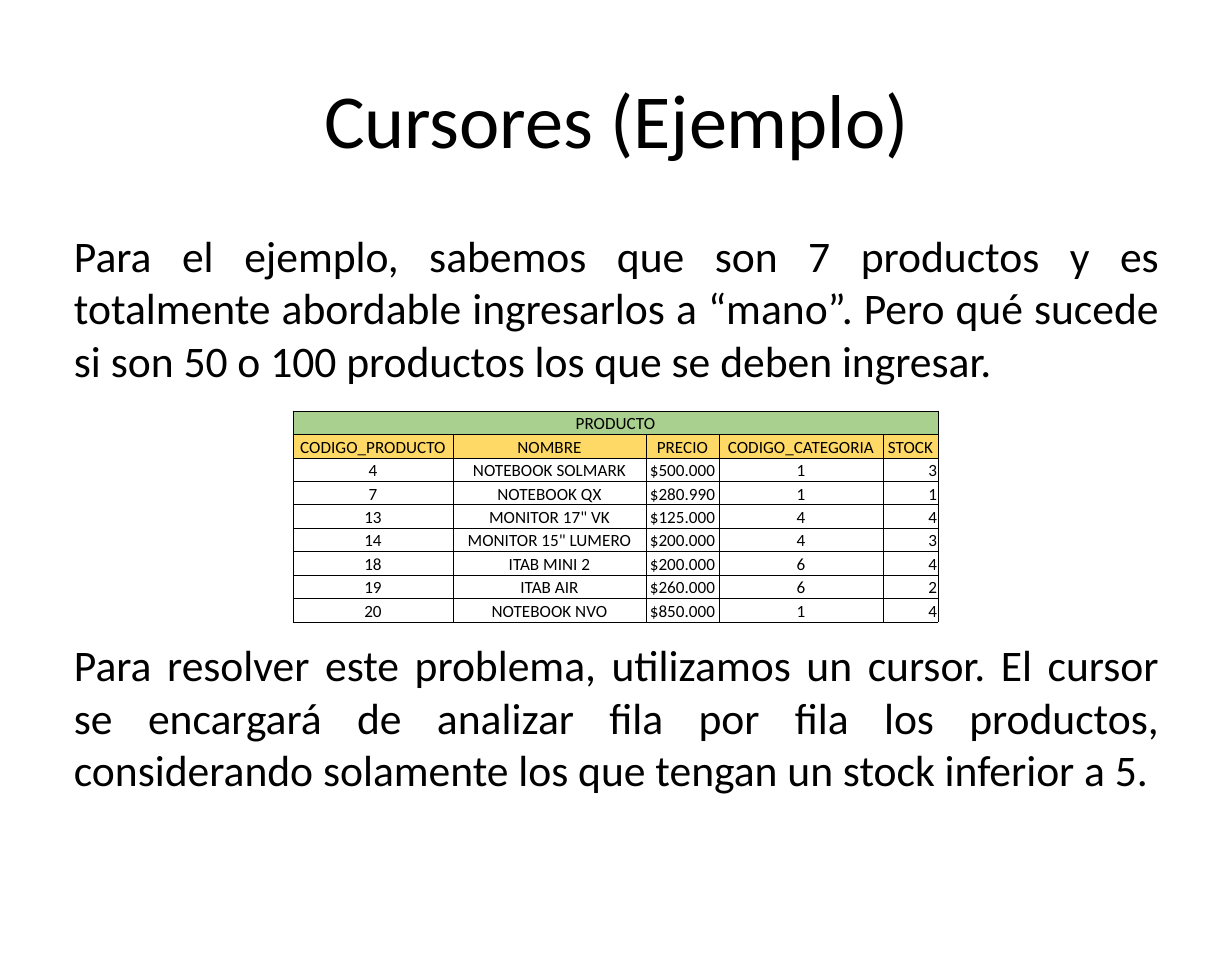
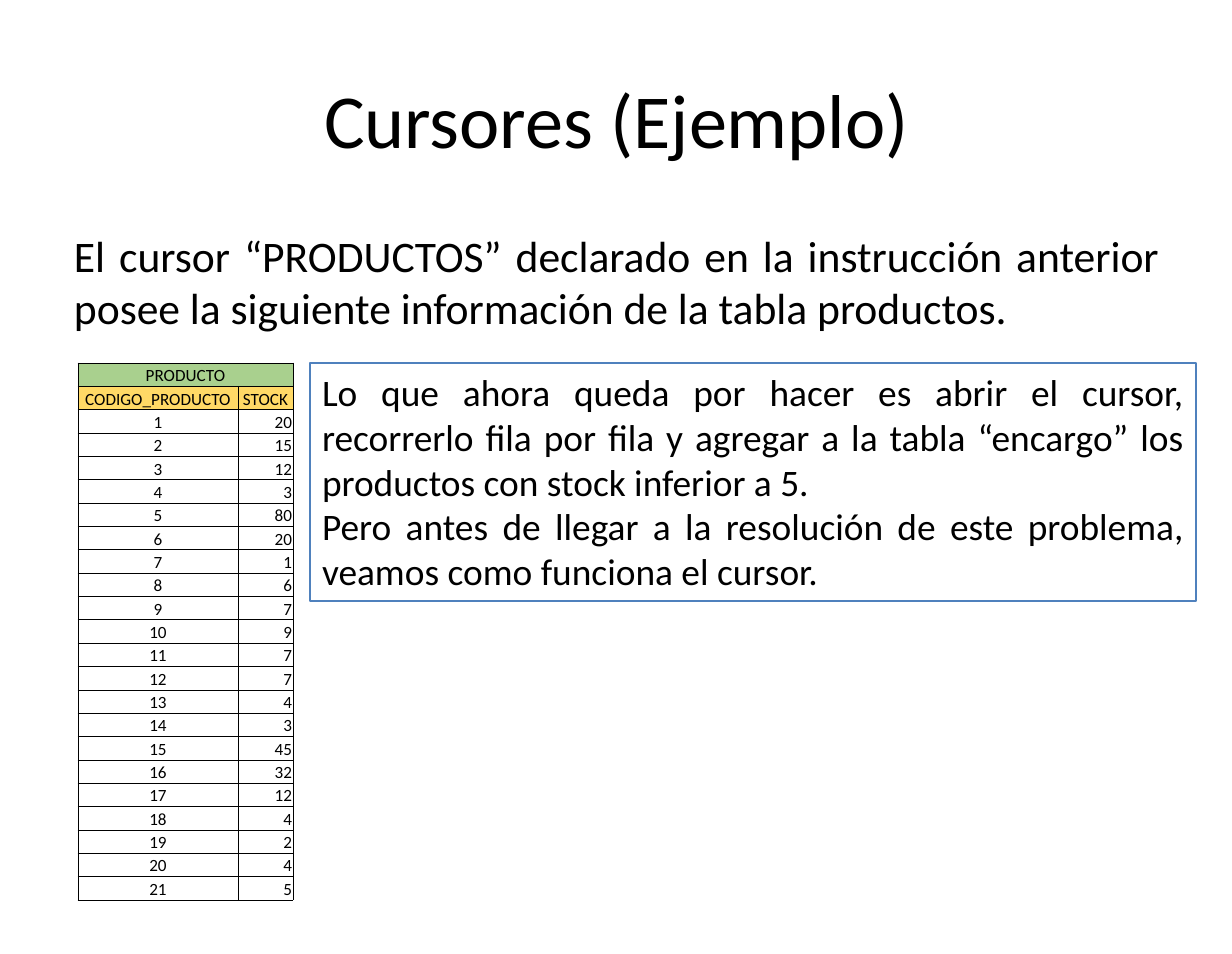
from lxml.etree import SubElement
from pptx import Presentation
from pptx.dml.color import RGBColor
from pptx.enum.shapes import MSO_SHAPE
from pptx.enum.text import MSO_ANCHOR, PP_ALIGN
from pptx.oxml.ns import qn
from pptx.util import Pt

PX = 8157
BLACK = RGBColor(0x00, 0x00, 0x00)
WHITE = RGBColor(0xFF, 0xFF, 0xFF)
GREEN = RGBColor(0xA9, 0xD0, 0x8E)
YELLOW = RGBColor(0xFF, 0xD9, 0x66)
BLUE = RGBColor(0x4F, 0x81, 0xBD)
FONT = "Calibri"

SLIDE_SIZE = (1232, 954)
TITLE = "Cursores (Ejemplo)"
TITLE_BOX = (62, 38, 1109, 159)
BODY_BOX = (62, 223, 1109, 630)
INSETS = (12, 6, 12, 6)
CELL_INSETS = (1, 1, 1, 0)
CODE_WIDTH, STOCK_WIDTH = 160, 55

STOCK = [20, 15, 12, 3, 80, 20, 1, 6, 7, 9, 7, 7, 4, 3, 45, 32, 12, 4, 2, 4, 5]

SLIDES = [
    {
        "body": [
            "Para el ejemplo, sabemos que son 7 productos y es totalmente abordable "
            "ingresarlos a “mano”. Pero qué sucede si son 50 o 100 productos los que "
            "se deben ingresar.",
            "Para resolver este problema, utilizamos un cursor. El cursor se encargará "
            "de analizar fila por fila los productos, considerando solamente los que "
            "tengan un stock inferior a 5.",
        ],
        "table": {
            "place": (293, 411, 211),
            "widths": [CODE_WIDTH, 193, 73, 164, STOCK_WIDTH],
            "header": ["CODIGO_PRODUCTO", "NOMBRE", "PRECIO", "CODIGO_CATEGORIA", "STOCK"],
            "rows": [
                (4, "NOTEBOOK SOLMARK", "$500.000", 1, 3),
                (7, "NOTEBOOK QX", "$280.990", 1, 1),
                (13, 'MONITOR 17" VK', "$125.000", 4, 4),
                (14, 'MONITOR 15" LUMERO', "$200.000", 4, 3),
                (18, "ITAB MINI 2", "$200.000", 6, 4),
                (19, "ITAB AIR", "$260.000", 6, 2),
                (20, "NOTEBOOK NVO", "$850.000", 1, 4),
            ],
        },
    },
    {
        "body": [
            "El cursor “PRODUCTOS” declarado en la instrucción anterior posee la "
            "siguiente información de la tabla productos.",
        ],
        "table": {
            "place": (78, 363, 537),
            "widths": [CODE_WIDTH, STOCK_WIDTH],
            "header": ["CODIGO_PRODUCTO", "STOCK"],
            "rows": list(enumerate(STOCK, 1)),
        },
        "note": [
            "Lo que ahora queda por hacer es abrir el cursor, recorrerlo fila por fila "
            "y agregar a la tabla “encargo” los productos con stock inferior a 5.",
            "Pero antes de llegar a la resolución de este problema, veamos como "
            "funciona el cursor.",
        ],
    },
]
NOTE_BOX = (310, 363, 886, 238)
TABLE_GAP = Pt(162)


def px(*lengths):
    return [round(length * PX) for length in lengths]


def set_values(target, values):
    for name, value in values.items():
        setattr(target, name, value)


def write(tf, paragraphs, size, align, gap=0):
    for i, text in enumerate(paragraphs):
        p = tf.paragraphs[0] if i == 0 else tf.add_paragraph()
        p.alignment = align
        if i and gap:
            p.space_before = gap
        r = p.add_run()
        r.text = str(text)
        set_values(r.font, {"name": FONT, "size": Pt(size), "bold": False})
        r.font.color.rgb = BLACK


def frame(tf, anchor):
    left, top, right, bottom = px(*INSETS)
    set_values(tf, {
        "word_wrap": True, "vertical_anchor": anchor,
        "margin_left": left, "margin_top": top,
        "margin_right": right, "margin_bottom": bottom,
    })
    return tf


def add_text(s, box, paragraphs, size, align, anchor=MSO_ANCHOR.TOP, gap=0):
    tf = frame(s.shapes.add_textbox(*px(*box)).text_frame, anchor)
    write(tf, paragraphs, size, align, gap)


def add_note(s, paragraphs):
    sp = s.shapes.add_shape(MSO_SHAPE.RECTANGLE, *px(*NOTE_BOX))
    sp.shadow.inherit = False
    sp.fill.background()
    sp.line.color.rgb = BLUE
    sp.line.width = Pt(0.75)
    write(frame(sp.text_frame, MSO_ANCHOR.TOP), paragraphs, 24, PP_ALIGN.JUSTIFY)


def style_cell(cell, color):
    left, top, right, bottom = px(*CELL_INSETS)
    set_values(cell, {
        "vertical_anchor": MSO_ANCHOR.BOTTOM,
        "margin_left": left, "margin_top": top,
        "margin_right": right, "margin_bottom": bottom,
    })
    tc_pr = cell._tc.get_or_add_tcPr()
    for side in ("a:lnL", "a:lnR", "a:lnT", "a:lnB"):
        ln = SubElement(tc_pr, qn(side), w=str(Pt(0.5)))
        fill = SubElement(ln, qn("a:solidFill"))
        SubElement(fill, qn("a:srgbClr"), val=str(BLACK))
    cell.fill.solid()
    cell.fill.fore_color.rgb = color


def add_product_table(s, place, widths, header, rows):
    left, top, height = place
    last = len(widths) - 1
    grid = [["PRODUCTO"], header, *rows]
    table = s.shapes.add_table(
        len(grid), len(widths), *px(left, top, sum(widths), height)).table
    set_values(table, {"first_row": False, "horz_banding": False})
    for column, width in zip(table.columns, px(*widths)):
        column.width = width
    for i, values in enumerate(grid):
        table.rows[i].height = px(height / len(grid))[0]
        color = (GREEN, YELLOW)[i] if i < 2 else WHITE
        for j in range(len(widths)):
            cell = table.cell(i, j)
            style_cell(cell, color)
            if j < len(values):
                align = PP_ALIGN.RIGHT if i > 1 and j == last else PP_ALIGN.CENTER
                write(cell.text_frame, [values[j]], 11, align)
    table.cell(0, 0).merge(table.cell(0, last))


def main():
    prs = Presentation()
    prs.slide_width, prs.slide_height = px(*SLIDE_SIZE)
    for content in SLIDES:
        s = prs.slides.add_slide(prs.slide_layouts[6])
        add_text(s, TITLE_BOX, [TITLE], 49, PP_ALIGN.CENTER, MSO_ANCHOR.MIDDLE)
        add_text(s, BODY_BOX, content["body"], 28, PP_ALIGN.JUSTIFY, gap=TABLE_GAP)
        add_product_table(s, **content["table"])
        if "note" in content:
            add_note(s, content["note"])
    prs.save("out.pptx")


if __name__ == "__main__":
    main()
